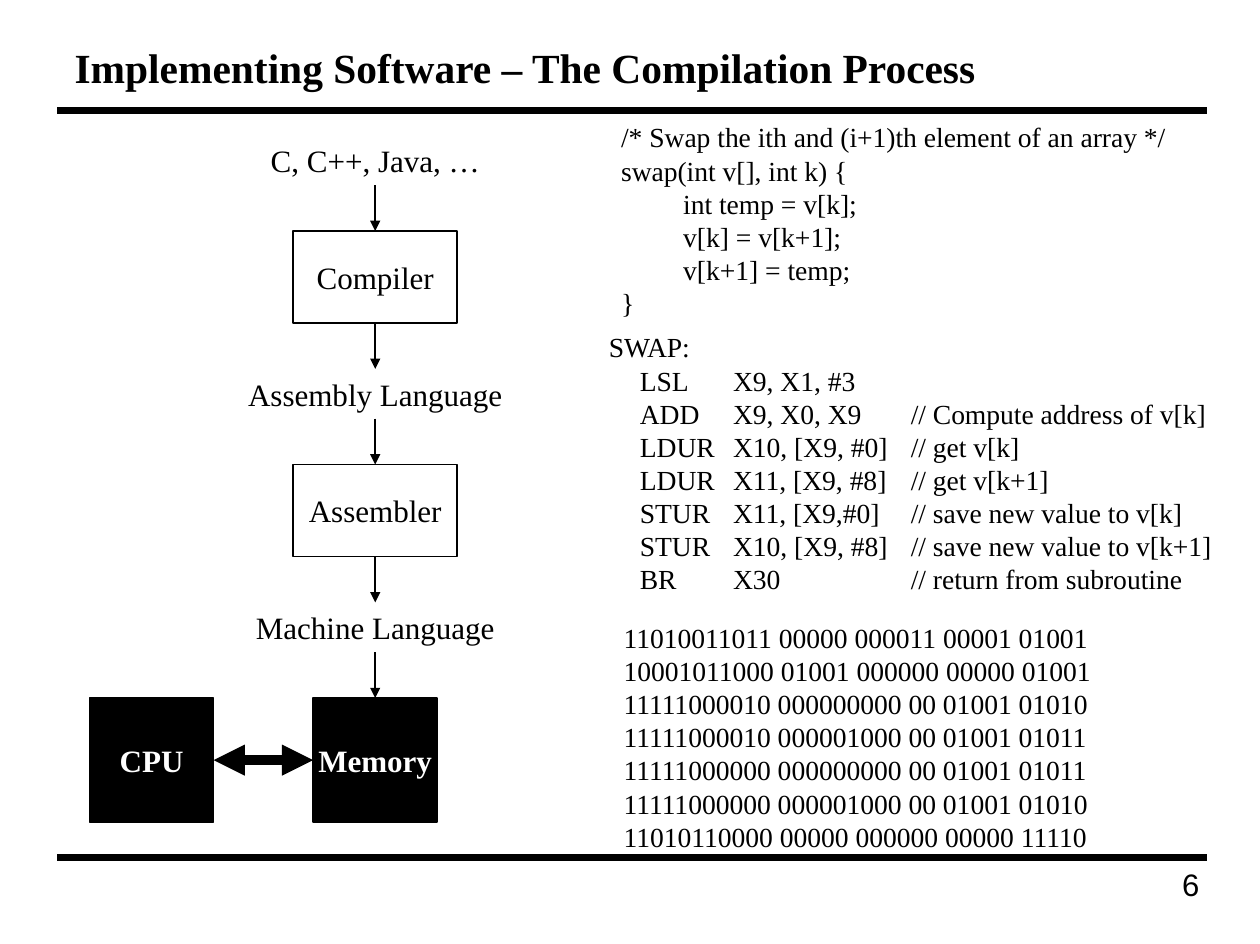
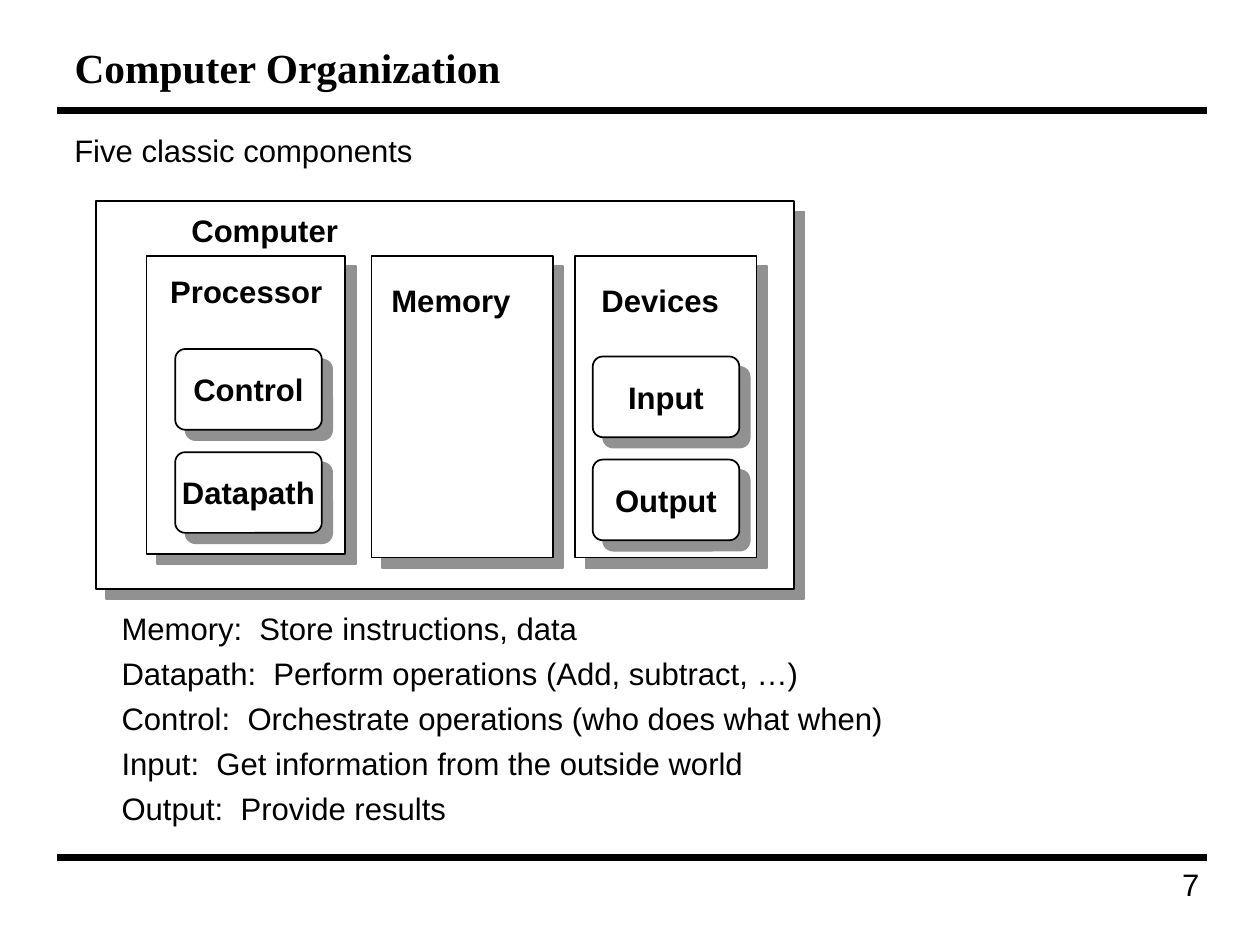
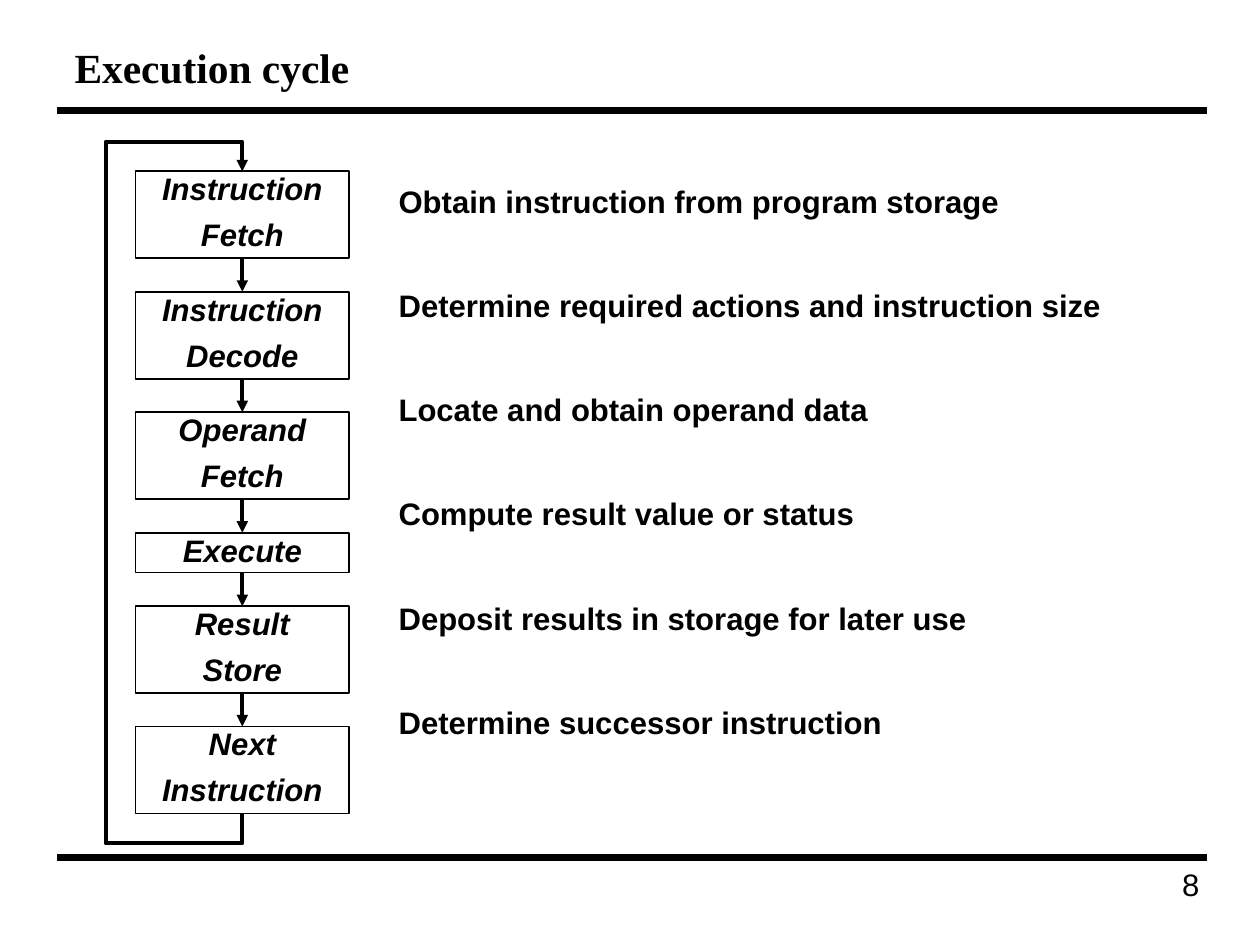
from lxml import etree
from pptx import Presentation
from pptx.dml.color import RGBColor
from pptx.enum.shapes import MSO_CONNECTOR, MSO_SHAPE as SHAPE
from pptx.enum.text import MSO_ANCHOR as ANCHOR, MSO_AUTO_SIZE, PP_ALIGN as ALIGN
from pptx.oxml.ns import qn
from pptx.util import Emu, Inches, Pt

# Shared look
BLACK = RGBColor(0x00, 0x00, 0x00)
WHITE = RGBColor(0xFF, 0xFF, 0xFF)
SHADOW = RGBColor(0x91, 0x91, 0x91)
SERIF, SANS = "Times New Roman", "Arial"
TITLE_FONT = {"name": SERIF, "size": Pt(24), "bold": True}
SERIF_FONT = {"name": SERIF, "size": Pt(18)}
CODE_FONT = {"name": SERIF, "size": Pt(16)}
SANS_FONT = {"name": SANS, "size": Pt(18)}
BOLD_FONT = {**SANS_FONT, "bold": True}
STEP_FONT = {**BOLD_FONT, "italic": True}
TIGHT = {"margin_left": Inches(0.07), "margin_right": Inches(0.07),
         "margin_top": Inches(0.03), "margin_bottom": Inches(0.03)}
CENTRED = {"alignment": ALIGN.CENTER}
MIDDLE = {"vertical_anchor": ANCHOR.MIDDLE, "word_wrap": False}


def add_box(page, at, lines=(), font=SANS_FONT, color=BLACK, para_format=None,
            frame_format=None, kind=None, fill=None, shadow=False):
    """Add a text box, or an outlined shape when a kind is given."""
    place = [Inches(length) for length in at]
    if kind is None:
        box = page.shapes.add_textbox(*place)
    else:
        box = page.shapes.add_shape(kind, *place)
        box.shadow.inherit = False
        box.line.color.rgb = BLACK
        box.line.width = Pt(1)
        if fill is None:
            box.fill.background()
        else:
            box.fill.solid()
            box.fill.fore_color.rgb = fill
    if shadow:
        effects = box.element.spPr.find(qn("a:effectLst"))
        outer = etree.SubElement(effects, qn("a:outerShdw"), blurRad="0",
                                 dist=str(Pt(8.5)), dir="2700000", algn="ctr")
        etree.SubElement(outer, qn("a:srgbClr"), val=str(SHADOW))
    frame = box.text_frame
    frame_values = {"word_wrap": True, "vertical_anchor": ANCHOR.TOP, **(frame_format or {})}
    for name, value in frame_values.items():
        setattr(frame, name, value)
    for number, line in enumerate(lines):
        para = frame.add_paragraph() if number else frame.paragraphs[0]
        for name, value in {"alignment": ALIGN.LEFT, **(para_format or {})}.items():
            setattr(para, name, value)
        span = para.add_run()
        span.text = line
        span.font.color.rgb = color
        for name, value in font.items():
            setattr(span.font, name, value)
    return box


def add_line(page, points, width, arrows=()):
    """Join two points with a connector, more with an open outline."""
    points = [(Inches(x), Inches(y)) for x, y in points]
    if len(points) == 2:
        line = page.shapes.add_connector(MSO_CONNECTOR.STRAIGHT, *points[0], *points[1])
        etree.SubElement(line.element.spPr, qn("a:effectLst"))
    else:
        builder = page.shapes.build_freeform(*points[0])
        builder.add_line_segments(points[1:], close=False)
        line = builder.convert_to_shape()
        line.fill.background()
        line.shadow.inherit = False
    line.line.color.rgb = BLACK
    line.line.width = Pt(width)
    for end in arrows:
        etree.SubElement(line.element.spPr.find(qn("a:ln")), qn(f"a:{end}"), type="triangle")
    return line


deck = Presentation()
deck.slide_width, deck.slide_height = Inches(10.14), Inches(7.6)
layout = deck.slide_layouts[5]

# Titles and page numbers
titles = ["Implementing Software – The Compilation Process",
          "Computer Organization", "Execution cycle"]
for number, text in enumerate(titles, start=6):
    page = deck.slides.add_slide(layout)
    title = page.shapes.title
    title.left, title.top = Inches(0.5), Inches(0.25)
    title.width, title.height = Inches(9.17), Inches(0.58)
    title.text_frame.text = text
    title.text_frame.auto_size = MSO_AUTO_SIZE.NONE
    title.text_frame.vertical_anchor = ANCHOR.MIDDLE
    para = title.text_frame.paragraphs[0]
    para.alignment = ALIGN.LEFT
    span = para.runs[0]
    span.font.color.rgb = BLACK
    for name, value in TITLE_FONT.items():
        setattr(span.font, name, value)
    add_box(page, (7.67, 6.92, 2.08, 0.5), [str(number)], para_format={"alignment": ALIGN.RIGHT})
compilation, organization, cycle = deck.slides

# Rules above and below the content, kept in the layout
for y in (0.89, 6.9):
    rule = add_line(compilation, [(0.46, y), (9.71, y)], 4)
    layout.shapes.element.append(rule.element)

# Compilation: chain from source language down to memory
CHAIN_X, CHAIN_GAP = 3.02, 0.37
stages = [("C, C++, Java, …", 1.89, 0.4), ("Compiler", 1.32, 0.74),
          ("Assembly Language", 2.25, 0.4), ("Assembler", 1.32, 0.74),
          ("Machine Language", 2.12, 0.4)]
top = 1.09
for label, width, height in stages:
    boxed = height > 0.5
    add_box(compilation, (CHAIN_X - width / 2, top, width, height), [label], SERIF_FONT,
            para_format=CENTRED, frame_format=MIDDLE,
            kind=SHAPE.RECTANGLE if boxed else None, fill=WHITE if boxed else None)
    bottom = top + height
    top = bottom + CHAIN_GAP
    add_line(compilation, [(CHAIN_X, bottom), (CHAIN_X, top)], 1, ["tailEnd"])

# Compilation: hardware
for label, left in (("CPU", 0.72), ("Memory", 2.52)):
    add_box(compilation, (left, top, 1, 1), [label], {**SERIF_FONT, "bold": True}, WHITE,
            CENTRED, MIDDLE, SHAPE.RECTANGLE, BLACK)
add_line(compilation, [(1.72, top + 0.5), (2.52, top + 0.5)], 6, ["headEnd", "tailEnd"])

# Compilation: the same routine in three languages
source = add_box(compilation, (4.9, 0.92, 4.8, 1.7), [
    "/* Swap the ith and (i+1)th element of an array */",
    "swap(int v[], int k) {",
    "int temp = v[k];",
    "v[k] = v[k+1];",
    "v[k+1] = temp;",
    "}"], CODE_FONT)
for para in source.text_frame.paragraphs[2:5]:
    para._p.get_or_add_pPr().set("marL", str(Inches(0.5)))

assembly = add_box(compilation, (4.9, 2.66, 5.16, 2.15), [
    "SWAP:",
    "\tLSL\tX9, X1, #3",
    "\tADD\tX9, X0, X9\t// Compute address of v[k]",
    "\tLDUR\tX10, [X9, #0]\t// get v[k]",
    "\tLDUR\tX11, [X9, #8]\t// get v[k+1]",
    "\tSTUR\tX11, [X9,#0]\t// save new value to v[k]",
    "\tSTUR\tX10, [X9, #8]\t// save new value to v[k+1]",
    "\tBR\tX30\t// return from subroutine"], CODE_FONT,
    frame_format=dict.fromkeys(TIGHT, Emu(0)))
for para in assembly.text_frame.paragraphs:
    tabs = etree.SubElement(para._p.get_or_add_pPr(), qn("a:tabLst"))
    for stop in (0.25, 1, 2.43):
        etree.SubElement(tabs, qn("a:tab"), pos=str(Inches(stop)), algn="l")

add_box(compilation, (4.92, 4.95, 4.1, 1.99), [
    "11010011011 00000 000011 00001 01001",
    "10001011000 01001 000000 00000 01001",
    "11111000010 000000000 00 01001 01010",
    "11111000010 000001000 00 01001 01011",
    "11111000000 000000000 00 01001 01011",
    "11111000000 000001000 00 01001 01010",
    "11010110000 00000 000000 00000 11110"], CODE_FONT)

# Organization: text above and below the diagram
add_box(organization, (0.5, 1.01, 9.17, 0.4), ["Five classic components"])
add_box(organization, (0.88, 4.86, 8.79, 1.9), [
    "Memory:  Store instructions, data",
    "Datapath:  Perform operations (Add, subtract, …)",
    "Control:  Orchestrate operations (who does what when)",
    "Input:  Get information from the outside world",
    "Output:  Provide results"], para_format={"space_after": Pt(4.5)})

# Organization: nested blocks and their headings
blocks = [("Computer", (0.77, 1.62, 5.62, 3.12), (1.47, 1.72)),
          ("Processor", (1.18, 2.06, 1.6, 2.4), (1.3, 2.21)),
          ("Memory", (2.99, 2.06, 1.46, 2.43), (3.08, 2.28)),
          ("Devices", (4.63, 2.06, 1.46, 2.43), (4.77, 2.28))]
for label, at, corner in blocks:
    add_box(organization, at, kind=SHAPE.RECTANGLE, fill=WHITE, shadow=True)
    add_box(organization, (*corner, 1.45, 0.31), [label], BOLD_FONT,
            para_format={"line_spacing": 0.85}, frame_format=TIGHT)

# Organization: units inside the processor and the devices
for left, first_top, labels in ((1.41, 2.81, ("Control", "Datapath")),
                                (4.77, 2.87, ("Input", "Output"))):
    for row, label in enumerate(labels):
        unit = add_box(organization, (left, first_top + row * 0.83, 1.18, 0.65), [label],
                       BOLD_FONT, para_format=CENTRED, frame_format={**TIGHT, **MIDDLE},
                       kind=SHAPE.ROUNDED_RECTANGLE, fill=WHITE, shadow=True)
        unit.adjustments[0] = 0.125

# Cycle: steps joined by arrows
STEP_LEFT, STEP_WIDTH, STEP_GAP, FIRST_TOP = 1.09, 1.72, 0.27, 1.38
STEP_X = STEP_LEFT + STEP_WIDTH / 2
steps = [("Instruction", "Fetch"), ("Instruction", "Decode"), ("Operand", "Fetch"),
         ("Execute",), ("Result", "Store"), ("Next", "Instruction")]
top = FIRST_TOP
for number, words in enumerate(steps):
    if number:
        add_line(cycle, [(STEP_X, top - STEP_GAP), (STEP_X, top)], 2.25, ["tailEnd"])
    height = 0.7 if len(words) == 2 else 0.32
    add_box(cycle, (STEP_LEFT, top, STEP_WIDTH, height), words, STEP_FONT,
            para_format={**CENTRED, "line_spacing": 0.86, "space_after": Pt(8)},
            frame_format=TIGHT, kind=SHAPE.RECTANGLE)
    top += height + STEP_GAP

# Cycle: way back from the last step to the first
add_line(cycle, [(STEP_X, top - STEP_GAP), (STEP_X, 6.79), (0.85, 6.79), (0.85, 1.14),
                 (STEP_X, 1.14), (STEP_X, FIRST_TOP)], 2.25, ["tailEnd"])

# Cycle: what each step does
add_box(cycle, (3.11, 1.42, 6.56, 5), [
    "Obtain instruction from program storage",
    "Determine required actions and instruction size",
    "Locate and obtain operand data",
    "Compute result value or status",
    "Deposit results in storage for later use",
    "Determine successor instruction"], BOLD_FONT, para_format={"space_after": Pt(38.8)})

deck.save("out.pptx")
